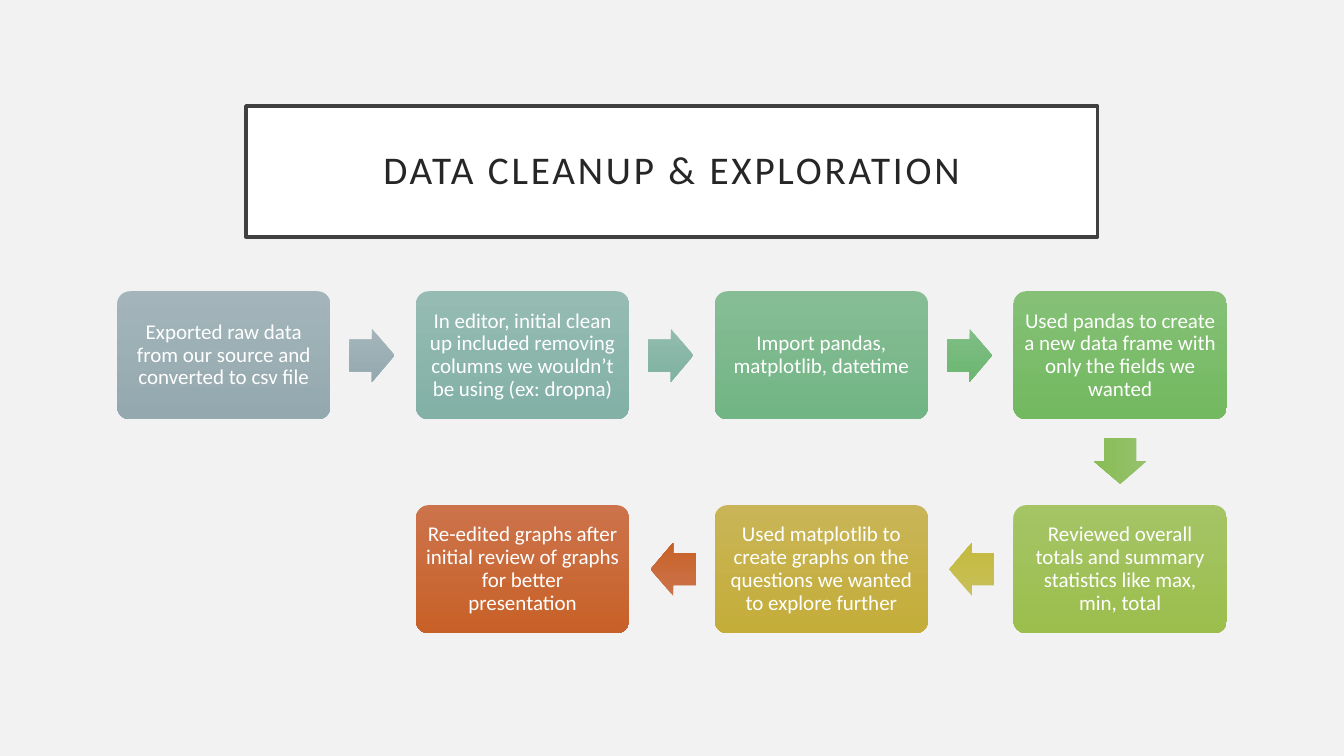
from pptx import Presentation
from pptx.dml.color import RGBColor
from pptx.enum.shapes import MSO_SHAPE
from pptx.enum.text import MSO_ANCHOR, MSO_AUTO_SIZE, PP_ALIGN
from pptx.util import Cm, Pt

ROUNDED = MSO_SHAPE.ROUNDED_RECTANGLE
ARROW = MSO_SHAPE.RIGHT_ARROW
MIDDLE = MSO_ANCHOR.MIDDLE
CENTER = PP_ALIGN.CENTER
NO_AUTOFIT = MSO_AUTO_SIZE.NONE

BOX_WIDTH, BOX_HEIGHT = 5.38, 3.23
ARROW_LENGTH, ARROW_BREADTH = 1.14, 1.34
FIRST_LEFT, FIRST_TOP = 2.95, 7.34
COLUMN_PITCH, ROW_PITCH = 7.53, 5.39
ARROW_SETBACK = 0.03

STEPS = [
    (0, 0, "A3B5BB", "93A9AF", "Exported raw data from our source and converted to csv file"),
    (1, 0, "95BBB2", "83B1A6",
     "In editor, initial clean up included removing columns we wouldn’t be using (ex: dropna)"),
    (2, 0, "86BD95", "72B584", "Import pandas, matplotlib, datetime"),
    (3, 0, "85C076", "73B960",
     "Used pandas to create a new data frame with only the fields we wanted"),
    (3, 1, "A5C466", "9BBE4D",
     "Reviewed overall totals and summary statistics like max, min, total"),
    (2, 1, "C9B557", "C4AD39",
     "Used matplotlib to create graphs on the questions we wanted to explore further"),
    (1, 1, "CC734B", "C86128",
     "Re-edited graphs after initial review of graphs for better presentation"),
]
ARROW_COLORS = [
    ("A3B5BB", "93A9AF"), ("92BCAD", "80B2A1"), ("80BE85", "6BB671"),
    ("96C26D", "88BC55"), ("C8C05A", "C4BA3D"), ("CC734B", "C86128"),
]


def color(value):
    """Return the colour for a hex string."""
    return RGBColor.from_string(value)


def set_format(target, values):
    """Set each attribute named in a dict of format values."""
    for name, value in values.items():
        setattr(target, name, value)


class SlideBuilder:
    """Hold the style and the current slide."""

    font_name = "Calibri"

    def __init__(self, presentation, background):
        """Add a title-only slide with a plain background."""
        self.slide = presentation.slides.add_slide(presentation.slide_layouts[5])
        fill = self.slide.background.fill
        fill.solid()
        fill.fore_color.rgb = color(background)

    def add_text(self, shape, text, size, text_color, inset):
        """Put one centred paragraph into a shape and return its run."""
        frame = shape.text_frame
        margins = {f"margin_{side}": Cm(inset) for side in ("left", "right", "top", "bottom")}
        set_format(frame, {"word_wrap": True, "auto_size": NO_AUTOFIT,
                           "vertical_anchor": MIDDLE, **margins})
        paragraph = frame.paragraphs[0]
        set_format(paragraph, {"alignment": CENTER, "line_spacing": 0.9})
        run = paragraph.add_run()
        run.text = text
        set_format(run.font, {"name": self.font_name, "size": Pt(size)})
        run.font.color.rgb = color(text_color)
        return run

    def title(self, text, left, top, width, height):
        """Place the framed title."""
        shape = self.slide.shapes.title
        set_format(shape, {"left": Cm(left), "top": Cm(top),
                           "width": Cm(width), "height": Cm(height)})
        shape.fill.solid()
        shape.fill.fore_color.rgb = color("FFFFFF")
        shape.line.color.rgb = color("404040")
        shape.line.width = Pt(2.5)
        run = self.add_text(shape, text, 28, "262626", 0.51)
        run.font._element.set("spc", "200")

    def gradient_shape(self, kind, center, size, colors, adjustments):
        """Draw a preset shape around a centre with a top-down gradient."""
        (x, y), (width, height) = center, size
        shape = self.slide.shapes.add_shape(
            kind, Cm(x - width / 2), Cm(y - height / 2), Cm(width), Cm(height))
        shape.shadow.inherit = False
        shape.line.fill.background()
        shape.fill.gradient()
        shape.fill.gradient_angle = 270
        for stop, value in zip(shape.fill.gradient_stops, colors):
            stop.color.rgb = color(value)
        for index, value in enumerate(adjustments):
            shape.adjustments[index] = value
        return shape

    def step(self, text, center, colors):
        """Draw one step box with its text."""
        shape = self.gradient_shape(ROUNDED, center, (BOX_WIDTH, BOX_HEIGHT), colors, [0.1])
        self.add_text(shape, text, 15, "FFFFFF", 0.15)

    def arrow(self, start, end, colors):
        """Draw a block arrow midway between two step centres."""
        across = (end[0] > start[0]) - (end[0] < start[0])
        down = int(end[1] > start[1])
        center = ((start[0] + end[0]) / 2 - across * ARROW_SETBACK,
                  (start[1] + end[1]) / 2 - down * ARROW_SETBACK)
        shape = self.gradient_shape(
            ARROW, center, (ARROW_LENGTH, ARROW_BREADTH), colors, [0.6, 0.5])
        shape.rotation = 90 if down else 90 * (1 - across)


def step_center(column, row):
    """Return the centre of a grid cell in centimetres."""
    return (FIRST_LEFT + column * COLUMN_PITCH + BOX_WIDTH / 2,
            FIRST_TOP + row * ROW_PITCH + BOX_HEIGHT / 2)


presentation = Presentation()
set_format(presentation, {"slide_width": Cm(33.87), "slide_height": Cm(19.05)})
builder = SlideBuilder(presentation, "F2F2F2")
builder.title("DATA CLEANUP & EXPLORATION", 6.2, 2.67, 21.46, 3.3)

centers = [step_center(column, row) for column, row, *_ in STEPS]
for center, (_, _, light, dark, text) in zip(centers, STEPS):
    builder.step(text, center, (light, dark))
for start, end, colors in zip(centers, centers[1:], ARROW_COLORS):
    builder.arrow(start, end, colors)

presentation.save("out.pptx")
